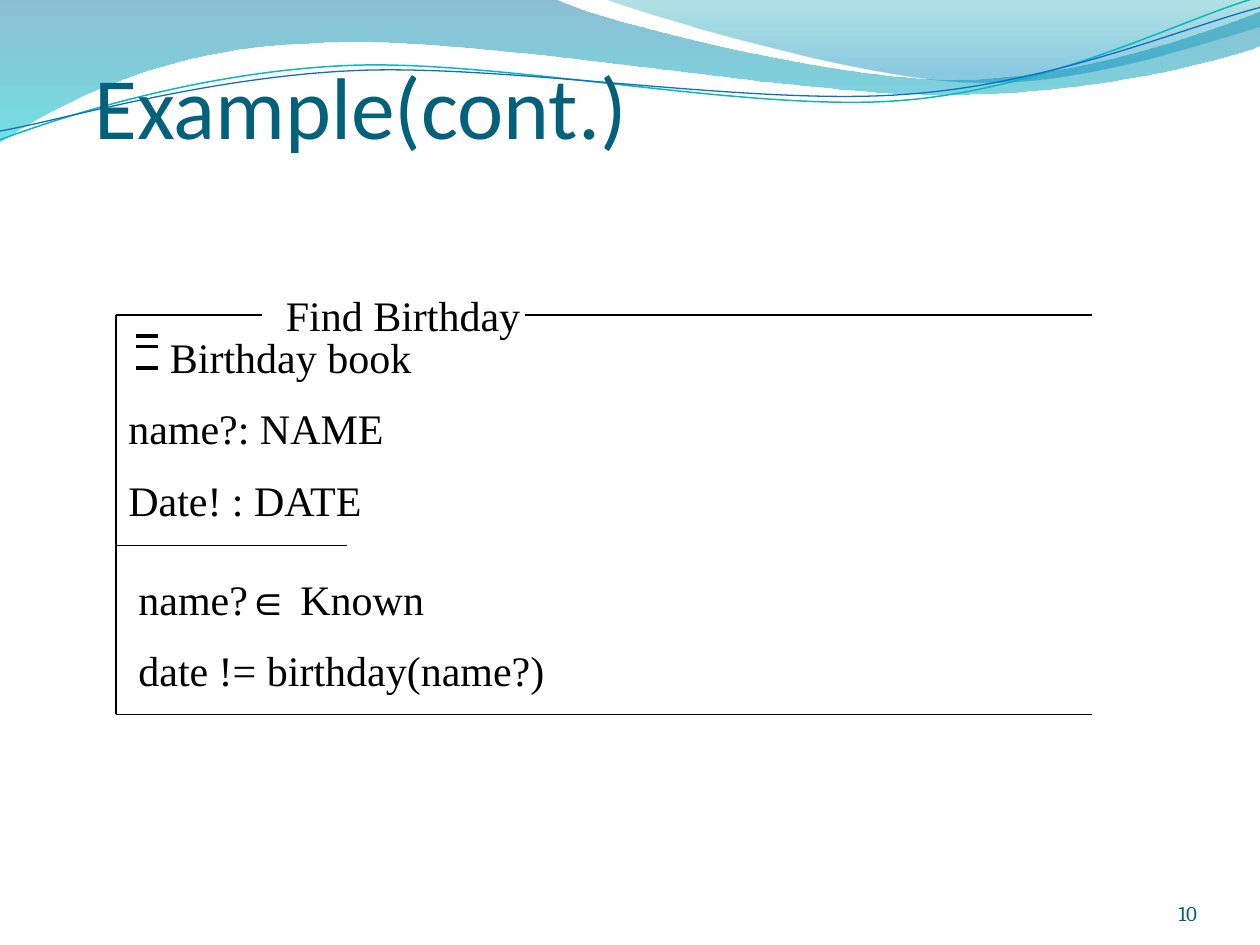
import pptx
import pptx.dml.color
import pptx.enum.shapes
import pptx.enum.text
import pptx.oxml
import pptx.oxml.ns
import pptx.util
from pptx.util import Inches

ALIGN = pptx.enum.text.PP_ALIGN
ANCHOR = pptx.enum.text.MSO_ANCHOR
BLACK = "000000"
SERIF = "Times New Roman"
LEFT, RIGHT = 0.92, 8.67
TOP, DIVIDER, BOTTOM = 2.5, 4.33, 5.67

# Each outline starts at a point; 2 numbers add a line, 6 add a Bézier curve.
LEFT_WAVE = [
    (0, 0), (4.4, -0.01), (4.76, 0.17, 6.64, 0.63, 7.58, 0.63),
    (8.53, 0.63, 9.58, 0.26, 10, 0.09), (10.01, 0.36),
    (9.83, 0.44, 8.7, 0.76, 7.46, 0.75), (6.22, 0.75, 3.82, 0.28, 2.57, 0.34),
    (1.29, 0.36, 0.46, 0.83, -0.01, 1.13), (0, 0),
]
RIGHT_WAVE = [
    (4.79, -0.01), (5.09, 0.11, 6.82, 0.62, 7.69, 0.65),
    (8.56, 0.69, 9.61, 0.32, 10, 0.21), (10, 0), (4.79, -0.01),
]
TEAL_CURVE = [
    (0, 1.11), (0.48, 0.93, 1.58, 0.57, 2.77, 0.52),
    (3.95, 0.47, 5.93, 0.89, 7.13, 0.8), (8.33, 0.71, 9.38, 0.15, 9.98, -0.02),
]
BLUE_CURVE = [
    (0, 1.04), (0.47, 0.96, 1.64, 0.61, 2.83, 0.56),
    (4.03, 0.51, 5.97, 0.84, 7.17, 0.75), (8.36, 0.67, 9.41, 0.21, 10, 0.06),
]


def rgb(color):
    return pptx.dml.color.RGBColor.from_string(color)


def make_element(tag, attributes=""):
    return pptx.oxml.parse_xml(f'<{tag} {pptx.oxml.ns.nsdecls("a")} {attributes}/>')


def add_outline(s, outline, close):
    """Build a polygon through all points, then turn each triple into a curve."""
    points = [(Inches(part[i]), Inches(part[i + 1]))
              for part in outline for i in range(0, len(part), 2)]
    builder = s.shapes.build_freeform(*points[0])
    builder.add_line_segments(points[1:], close=close)
    shape = builder.convert_to_shape()
    shape.shadow.inherit = False
    segments = iter(list(shape._element.iter(pptx.oxml.ns.qn("a:lnTo"))))
    for part in outline[1:]:
        group = [next(segments) for _ in range(len(part) // 2)]
        if len(group) == 3:
            curve = make_element("a:cubicBezTo")
            group[0].addprevious(curve)
            for segment in group:
                curve.append(segment[0])
                segment.getparent().remove(segment)
    return shape


def add_wave(s, outline, stops):
    """Add a top-to-bottom gradient area; stops are (position, colour, opacity %)."""
    shape = add_outline(s, outline, True)
    shape.line.fill.background()
    shape.fill.gradient()
    shape.fill.gradient_angle = 270
    for stop, (position, color, _) in zip(shape.fill.gradient_stops, stops):
        stop.position = position
        stop.color.rgb = rgb(color)
    tag = pptx.oxml.ns.qn("a:srgbClr")
    for element, (_, _, opacity) in zip(shape._element.spPr.iter(tag), stops):
        element.append(make_element("a:alpha", f'val="{opacity * 1000}"'))


def add_curve(s, outline, color, width):
    shape = add_outline(s, outline, False)
    shape.fill.background()
    shape.line.color.rgb = rgb(color)
    shape.line.width = pptx.util.Pt(width)


def add_line(s, x1, y1, x2, y2, width=0.75):
    line = s.shapes.add_connector(
        pptx.enum.shapes.MSO_CONNECTOR.STRAIGHT,
        Inches(x1), Inches(y1), Inches(x2), Inches(y2))
    line.line.color.rgb = rgb(BLACK)
    line.line.width = pptx.util.Pt(width)
    line._element.spPr.append(make_element("a:effectLst"))


def add_text(s, box, lines, size=24, font=SERIF, color=BLACK,
             anchor=ANCHOR.TOP, align=ALIGN.LEFT, insets=(0.1, 0.05, 0.1, 0.05)):
    tf = s.shapes.add_textbox(*map(Inches, box)).text_frame
    tf.word_wrap = True
    tf.vertical_anchor = anchor
    tf.margin_left, tf.margin_top, tf.margin_right, tf.margin_bottom = map(Inches, insets)
    tf.text = "\n".join(lines)
    for i, p in enumerate(tf.paragraphs):
        p.alignment = align
        if i:
            p.space_before = pptx.util.Pt(12)
        for r in p.runs:
            r.font.size = pptx.util.Pt(size)
            r.font.name = font
            r.font.color.rgb = rgb(color)
    return tf


def add_background(s):
    add_wave(s, LEFT_WAVE, [(0, "0074A1", 45), (1, "00C6CF", 55)])
    add_wave(s, RIGHT_WAVE, [(0, "00A1A9", 30), (0.8, "008BBF", 45)])
    add_curve(s, TEAL_CURVE, "0AB8BF", 0.85)
    add_curve(s, BLUE_CURVE, "0F6FC6", 0.75)


def add_schema(s):
    add_line(s, LEFT, TOP, 2.08, TOP)
    add_text(s, (2.17, 2.25, 2.08, 0.5), ["Find Birthday"])
    add_line(s, 4.17, TOP, RIGHT, TOP)
    add_line(s, LEFT, TOP, LEFT, BOTTOM)
    add_line(s, LEFT, DIVIDER, 2.75, DIVIDER)
    tf = add_text(s, (LEFT, 2.58, 5.25, 1.72),
                  ["Birthday book", "name?: NAME", "Date! : DATE"])
    # Room for the xi symbol drawn in front of the first declaration
    tf.paragraphs[0]._p.get_or_add_pPr().set("marL", str(Inches(0.33)))
    add_line(s, LEFT, BOTTOM, RIGHT, BOTTOM)
    add_text(s, (1, 4.5, 5.75, 1.1), ["name?∈ Known", "date != birthday(name?)"])
    for y in (2.67, 2.92, 2.75):
        add_line(s, 1.08, y, 1.25, y, 2.25)


def main():
    prs = pptx.Presentation()
    prs.slide_width, prs.slide_height = Inches(10), Inches(7.5)
    s = prs.slides.add_slide(prs.slide_layouts[6])
    add_background(s)
    add_text(s, (0.75, 0.33, 8.25, 0.92), ["Example(cont.)"], 50, "Calibri", "04617B",
             ANCHOR.BOTTOM, insets=(0, 0.05, 0, 0))
    add_text(s, (8.67, 6.95, 0.83, 0.4), ["10"], 12, "Cambria", "045D75",
             ANCHOR.BOTTOM, ALIGN.RIGHT, (0, 0, 0, 0))
    add_schema(s)
    prs.save("out.pptx")


if __name__ == "__main__":
    main()
